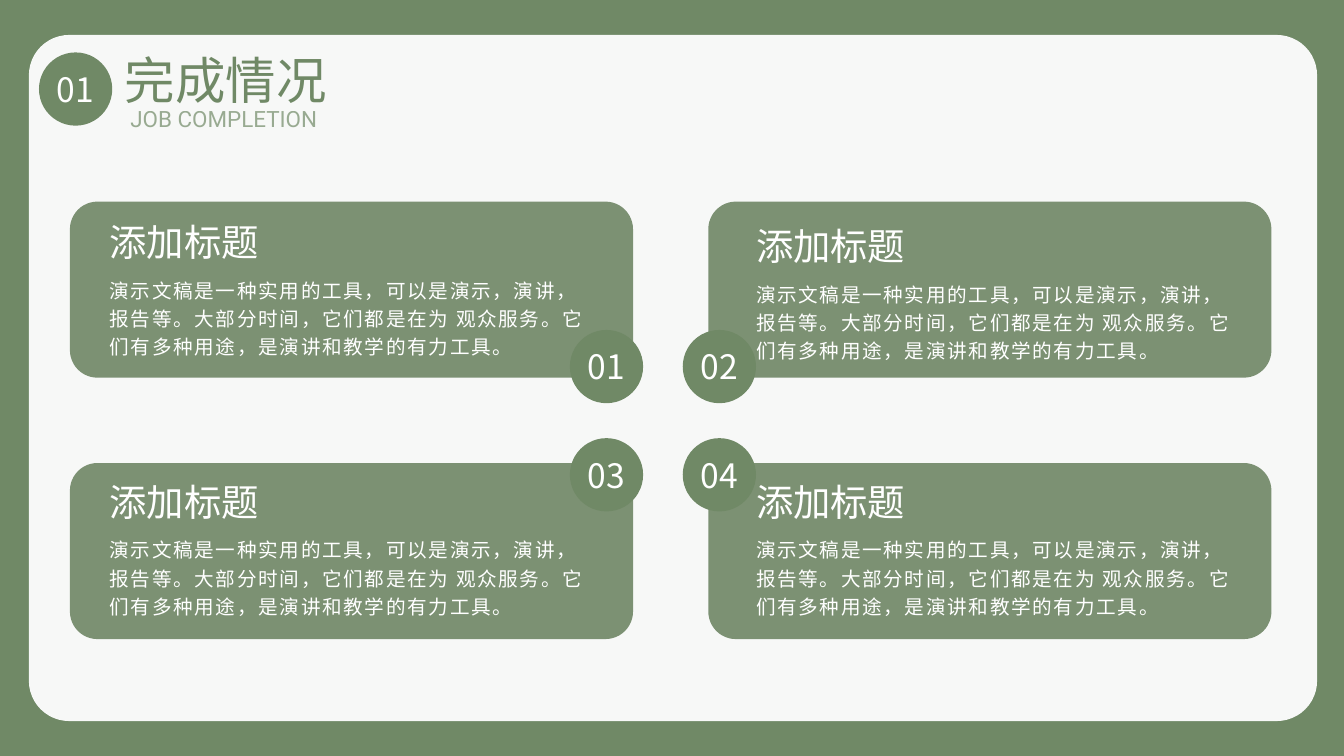
from pptx import Presentation
from pptx.dml.color import RGBColor
from pptx.enum import shapes, text
from pptx.oxml import ns, xmlchemy
from pptx.util import Inches, Pt

GREEN = RGBColor(0x70, 0x89, 0x66)
CARD_GREEN = RGBColor(0x7C, 0x91, 0x73)
WHITE = RGBColor(0xFF, 0xFF, 0xFF)

LATIN_FONT = "Calibri"
CHINESE_FONT = "Noto Sans CJK SC"
SUBTITLE_FONT = "Roboto"

CARD_TITLE = "添加标题"
CARD_BODY = (
    "演示文稿是一种实用的工具，可以是演示，演讲，报告等。"
    "大部分时间，它们都是在为 观众服务。它们有多种用途，是演讲和教学的有力工具。"
)

CARD_WIDTH, CARD_HEIGHT = 8.38, 2.62
CARD_LEFTS = (1.04, 10.54)
CARD_TOPS = (3, 6.89)
TEXT_LEFTS = (1.63, 11.25)
TITLE_TOPS = (3.13, 3.19, 6.99, 6.99)
BODY_OFFSET = 0.95
BADGE_SIZE = 1.09
BADGE_LEFTS = (8.48, 10.16)
BADGE_TOPS = (4.91, 6.52)


def add_xml_child(parent, tag, **attributes):
    child = xmlchemy.OxmlElement(tag)
    for name, value in attributes.items():
        child.set(name, str(value))
    parent.append(child)


def set_alpha(fill, percent):
    """Make a solid fill partly transparent."""
    color = fill._xPr.find(ns.qn("a:solidFill"))[0]
    add_xml_child(color, "a:alpha", val=percent * 1000)


def write(frame, content, size, line_height, font=LATIN_FONT, color=WHITE,
          align=text.PP_ALIGN.LEFT, anchor=text.MSO_ANCHOR.TOP,
          wrap=True, spacing=None, alpha=None):
    """Put one formatted paragraph into a text frame without margins."""
    frame.margin_left = frame.margin_top = 0
    frame.margin_right = frame.margin_bottom = 0
    frame.word_wrap = wrap
    frame.vertical_anchor = anchor
    paragraph = frame.paragraphs[0]
    paragraph.alignment = align
    paragraph.line_spacing = Pt(line_height)
    run = paragraph.add_run()
    run.text = content
    run.font.size = Pt(size)
    run.font.name = font
    run.font.color.rgb = color
    properties = run.font._element
    add_xml_child(properties, "a:ea", typeface=CHINESE_FONT)
    if spacing is not None:
        properties.set("spc", str(round(spacing * 100)))
    if alpha is not None:
        set_alpha(run.font.fill, alpha)


def add_text(slide, content, left, top, width, height, **text_format):
    box = slide.shapes.add_textbox(
        Inches(left), Inches(top), Inches(width), Inches(height))
    write(box.text_frame, content, **text_format)


def add_filled_shape(slide, kind, left, top, width, height, color):
    shape = slide.shapes.add_shape(
        kind, Inches(left), Inches(top), Inches(width), Inches(height))
    shape.shadow.inherit = False
    shape.fill.solid()
    shape.fill.fore_color.rgb = color
    shape.line.fill.background()
    return shape


def add_panel(slide, left, top, width, height, color, radius):
    """Add a rounded rectangle with its corner radius in inches."""
    panel = add_filled_shape(
        slide, shapes.MSO_SHAPE.ROUNDED_RECTANGLE, left, top, width, height, color)
    panel.adjustments[0] = radius / min(width, height)
    return panel


def add_badge(slide, number, left, top):
    badge = add_filled_shape(
        slide, shapes.MSO_SHAPE.OVAL, left, top, BADGE_SIZE, BADGE_SIZE, GREEN)
    write(badge.text_frame, f"{number:02}", size=36, line_height=43.2,
          font=CHINESE_FONT, align=text.PP_ALIGN.CENTER,
          anchor=text.MSO_ANCHOR.MIDDLE, wrap=False)


def add_header(slide):
    add_badge(slide, 1, 0.58, 0.78)
    add_text(slide, "完成情况", 1.86, 0.55, 5, 1.03,
             size=54, line_height=77.8, color=GREEN)
    add_text(slide, "JOB COMPLETION", 1.94, 1.49, 4.92, 0.47,
             size=24, line_height=34.5, font=SUBTITLE_FONT, color=GREEN, alpha=70)


def add_card_text(slide, left, top):
    add_text(slide, CARD_TITLE, left, top, 7.21, 0.73, size=40, line_height=57.6)
    add_text(slide, CARD_BODY, left, top + BODY_OFFSET, 7.21, 1.22,
             size=21, line_height=30.2, spacing=1.8)


def main():
    presentation = Presentation()
    presentation.slide_width = Inches(20)
    presentation.slide_height = Inches(11.25)
    slide = presentation.slides.add_slide(presentation.slide_layouts[6])
    slide.background.fill.solid()
    slide.background.fill.fore_color.rgb = GREEN

    page = add_panel(slide, 0.43, 0.52, 19.17, 10.21, WHITE, radius=0.6)
    set_alpha(page.fill, 95)
    add_header(slide)

    cells = [(row, column) for row in range(2) for column in range(2)]
    for row, column in cells:
        add_panel(slide, CARD_LEFTS[column], CARD_TOPS[row],
                  CARD_WIDTH, CARD_HEIGHT, CARD_GREEN, radius=0.41)
    for number, (row, column) in enumerate(cells, start=1):
        add_badge(slide, number, BADGE_LEFTS[column], BADGE_TOPS[row])
    for (row, column), top in zip(cells, TITLE_TOPS):
        add_card_text(slide, TEXT_LEFTS[column], top)

    presentation.save("out.pptx")


if __name__ == "__main__":
    main()
